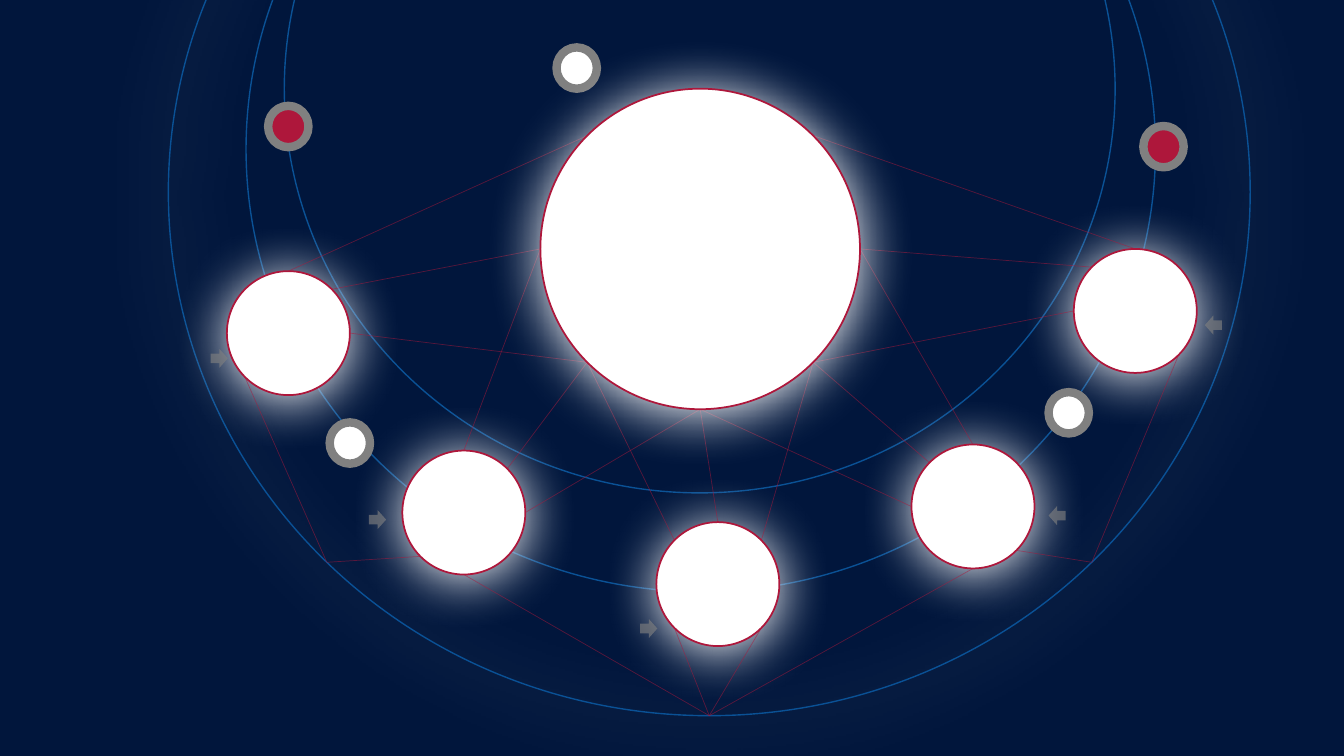
from math import cos, radians, sin

from lxml.etree import SubElement
from pptx import Presentation
from pptx.dml.color import RGBColor
from pptx.enum.shapes import MSO_CONNECTOR, MSO_SHAPE
from pptx.oxml.ns import qn
from pptx.util import Inches, Pt

NAVY, BLUE, CRIMSON, GRAY, WHITE = "01163C", "0A5195", "AE173B", "808080", "FFFFFF"
COMPASS = {"E": 0, "SE": 45, "S": 90, "SW": 135, "W": 180, "NW": 225, "N": 270, "NE": 315}

OUTER_RING = (1.67, -3.29, 10.73, 10.39)
INNER_RINGS = [(2.82, -3.13, 8.24, 8.02), (2.44, -2.91, 9.02, 8.78)]
HUB = (5.36, 0.88, 3.17, 3.18)
SATELLITE_CORNERS = {
    "west": (2.25, 2.69),
    "east": (10.65, 2.47),
    "southwest": (3.99, 4.47),
    "south": (6.51, 5.18),
    "southeast": (9.04, 4.41),
}
SATELLITES = {name: (*corner, 1.22, 1.23) for name, corner in SATELLITE_CORNERS.items()}
BEADS = [
    (2.66, 1.05, CRIMSON),
    (11.34, 1.25, CRIMSON),
    (10.4, 3.89, WHITE),
    (5.52, 0.47, WHITE),
    (3.27, 4.19, WHITE),
]
POINTERS = [
    (3.66, 5.06, False),
    (2.09, 3.46, False),
    (6.35, 6.14, False),
    (10.4, 5.02, True),
    (11.95, 3.13, True),
]
HUB_LINKS = {
    "west": ["NW N", "W NE", "SW E"],
    "east": ["NE N", "E NW", "SE W"],
    "south": ["S N", "SE NE", "SW NW"],
    "southwest": ["SW NE", "W N", "S E"],
    "southeast": ["SE NW", "E N", "S W"],
}
RING_LINKS = {
    "south": ["S SE", "S SW"],
    "west": ["SW SW"],
    "southwest": ["SW SW", "S S"],
    "southeast": ["S S", "SE SE"],
    "east": ["SE SE"],
}


def color(value):
    return RGBColor.from_string(value)


def set_alpha(fill, percent):
    tint = fill._xPr.find(qn("a:solidFill"))[0]
    SubElement(tint, qn("a:alpha"), val=str(percent * 1000))


def add_glow(shape, blur):
    effects = shape._element.spPr.find(qn("a:effectLst"))
    shadow = SubElement(
        effects, qn("a:outerShdw"), blurRad=str(Pt(blur)), dist=str(Pt(3)),
        dir="5400000", algn="ctr", rotWithShape="0",
    )
    SubElement(shadow, qn("a:srgbClr"), val=WHITE)


def draw_shape(slide, preset, box, fill=None, line=None, width=1.25, glow=None):
    shape = slide.shapes.add_shape(preset, *map(Inches, box))
    shape.shadow.inherit = False
    if fill:
        shape.fill.solid()
        shape.fill.fore_color.rgb = color(fill)
    else:
        shape.fill.background()
    if line:
        shape.line.color.rgb = color(line)
        shape.line.width = Pt(width)
    else:
        shape.line.fill.background()
    if glow:
        add_glow(shape, glow)
    return shape


def draw_ring(slide, box, glow=None):
    draw_shape(slide, MSO_SHAPE.OVAL, box, line=BLUE, width=1, glow=glow)


def draw_disc(slide, box):
    draw_shape(slide, MSO_SHAPE.FLOWCHART_CONNECTOR, box, WHITE, CRIMSON, glow=40)


def draw_bead(slide, box, fill):
    draw_shape(slide, MSO_SHAPE.FLOWCHART_CONNECTOR, box, fill, GRAY, 6)


def draw_pointer(slide, box, flipped):
    pointer = draw_shape(slide, MSO_SHAPE.RIGHT_ARROW, box, GRAY)
    set_alpha(pointer.fill, 64)
    if flipped:
        pointer._element.spPr.find(qn("a:xfrm")).set("flipH", "1")


def rim_point(box, direction):
    left, top, width, height = box
    angle = radians(COMPASS[direction])
    return (
        Inches(left + width / 2 * (1 + cos(angle))),
        Inches(top + height / 2 * (1 + sin(angle))),
    )


def draw_links(slide, center_box, links):
    for satellite, pairs in links.items():
        for pair in pairs:
            start, end = pair.split()
            link = slide.shapes.add_connector(
                MSO_CONNECTOR.STRAIGHT,
                *rim_point(center_box, start),
                *rim_point(SATELLITES[satellite], end),
            )
            link.line.color.rgb = color(CRIMSON)
            link.line.width = Pt(0.5)
            set_alpha(link.line.fill, 50)
            SubElement(link._element.spPr, qn("a:effectLst"))


def draw_orbit_slide(slide):
    slide.background.fill.solid()
    slide.background.fill.fore_color.rgb = color(NAVY)
    draw_ring(slide, OUTER_RING, glow=45)
    for ring in INNER_RINGS:
        draw_ring(slide, ring)
    for satellite in SATELLITES.values():
        draw_disc(slide, satellite)
    for left, top, fill in BEADS:
        draw_bead(slide, (left, top, 0.4, 0.41), fill)
    draw_links(slide, HUB, HUB_LINKS)
    draw_links(slide, OUTER_RING, RING_LINKS)
    draw_disc(slide, HUB)
    for left, top, flipped in POINTERS:
        draw_pointer(slide, (left, top, 0.17, 0.19), flipped)


deck = Presentation()
deck.slide_width, deck.slide_height = Inches(13.33), Inches(7.5)
draw_orbit_slide(deck.slides.add_slide(deck.slide_layouts[6]))
deck.save("out.pptx")
